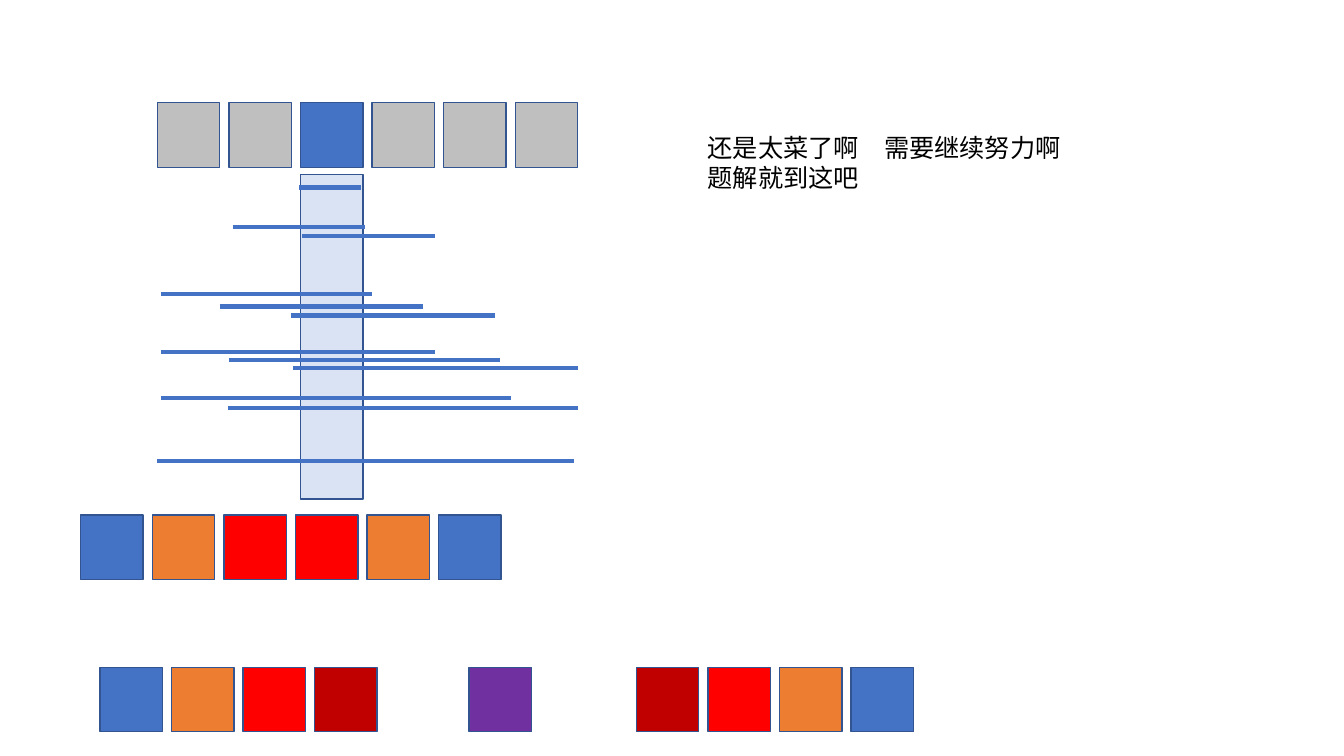
from pptx import Presentation
from pptx.dml.color import RGBColor
from pptx.enum.shapes import MSO_CONNECTOR, MSO_SHAPE
from pptx.enum.text import MSO_AUTO_SIZE
from pptx.oxml.ns import qn
from pptx.util import Inches, Pt
from lxml import etree

RECTANGLE = MSO_SHAPE.RECTANGLE
STRAIGHT = MSO_CONNECTOR.STRAIGHT
FIT_TEXT = MSO_AUTO_SIZE.SHAPE_TO_FIT_TEXT

FONT = "Noto Sans CJK SC"
BLUE, ORANGE, RED = "4472C4", "ED7D31", "FF0000"
DARK_RED, PURPLE, GRAY = "C00000", "7030A0", "BFBFBF"
PALE_BLUE, OUTLINE, BLACK = "DAE3F3", "325491", "000000"

CELL_WIDTH, CELL_HEIGHT, CELL_PITCH = 0.62, 0.64, 0.71
CHOSEN_CELL = 2
INTERVALS = [
    (1.41, 2.02, 0.13),
    (0.75, 2.06, 0.52), (1.44, 2.75, 0.61),
    (0.04, 2.13, 1.19), (0.62, 2.64, 1.31), (1.33, 3.35, 1.40),
    (0.04, 2.75, 1.76), (0.71, 3.40, 1.84), (1.35, 4.17, 1.92),
    (0.04, 3.51, 2.22), (0.70, 4.17, 2.32),
    (0.00, 4.13, 2.84),
]


def color(hex_string):
    """Turn a hex string into a colour."""
    return RGBColor.from_string(hex_string)


def add_box(slide, left, top, width, height, fill):
    """Draw one outlined rectangle."""
    box = slide.shapes.add_shape(
        RECTANGLE, Inches(left), Inches(top), Inches(width), Inches(height))
    box.shadow.inherit = False
    box.fill.solid()
    box.fill.fore_color.rgb = color(fill)
    box.line.color.rgb = color(OUTLINE)
    box.line.width = Pt(1)


def add_cells(slide, left, top, fills):
    """Draw a row of evenly spaced array cells."""
    for index, fill in enumerate(fills):
        add_box(slide, left + index * CELL_PITCH, top,
                CELL_WIDTH, CELL_HEIGHT, fill)


def add_interval(slide, start, end, height):
    """Draw one horizontal interval line."""
    interval = slide.shapes.add_connector(
        STRAIGHT, Inches(start), Inches(height), Inches(end), Inches(height))
    interval.line.color.rgb = color(BLUE)
    interval.line.width = Pt(3)
    etree.SubElement(interval._element.spPr, qn("a:effectLst"))


def add_interval_diagram(slide, left, top, height):
    """Draw the column below the chosen cell and the intervals covering it."""
    add_box(slide, left + CHOSEN_CELL * CELL_PITCH, top,
            CELL_WIDTH, height, PALE_BLUE)
    for start, end, offset in INTERVALS:
        add_interval(slide, left + start, left + end, top + offset)


def add_text(slide, left, top, width, height, text, size=18, fill=BLACK):
    """Write one paragraph for each line of text."""
    textbox = slide.shapes.add_textbox(
        Inches(left), Inches(top), Inches(width), Inches(height))
    frame = textbox.text_frame
    frame.word_wrap = False
    frame.auto_size = FIT_TEXT
    frame.text = text
    for paragraph in frame.paragraphs:
        for run in paragraph.runs:
            run.font.size = Pt(size)
            run.font.color.rgb = color(fill)
            run.font.name = FONT
            etree.SubElement(run.font._element, qn("a:ea"), typeface=FONT)


def main():
    """Build the slide and save it."""
    presentation = Presentation()
    presentation.slide_width = Inches(13.33)
    presentation.slide_height = Inches(7.5)
    slide = presentation.slides.add_slide(presentation.slide_layouts[6])

    add_cells(slide, 1.56, 1.02, [GRAY, GRAY, BLUE, GRAY, GRAY, GRAY])
    add_interval_diagram(slide, 1.56, 1.73, 3.22)

    even_half = [BLUE, ORANGE, RED]
    add_cells(slide, 0.8, 5.11, even_half + even_half[::-1])

    odd_half = even_half + [DARK_RED]
    add_cells(slide, 0.99, 6.62, odd_half)
    add_cells(slide, 4.65, 6.62, [PURPLE])
    add_cells(slide, 6.31, 6.62, odd_half[::-1])

    add_text(slide, 6.92, 1.26, 3.83, 0.71,
             "还是太菜了啊　需要继续努力啊\n题解就到这吧")
    presentation.save("out.pptx")


if __name__ == "__main__":
    main()
